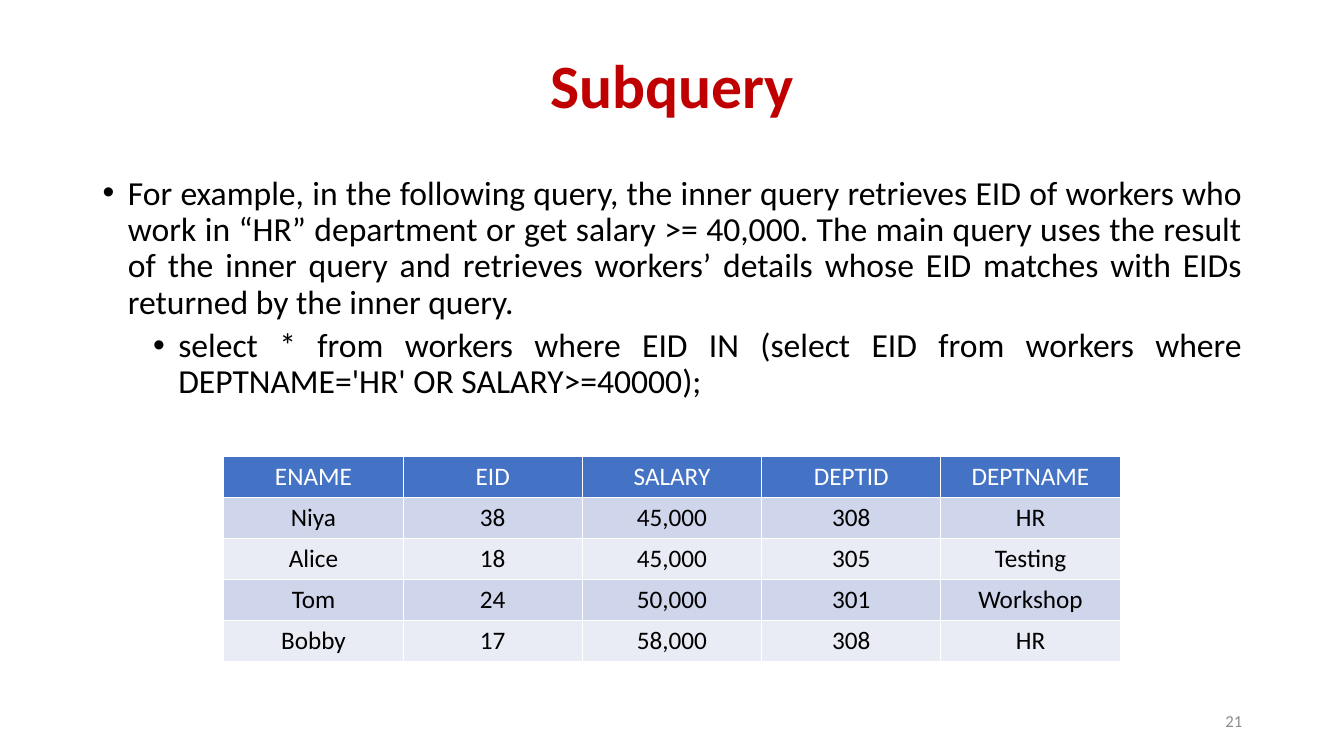
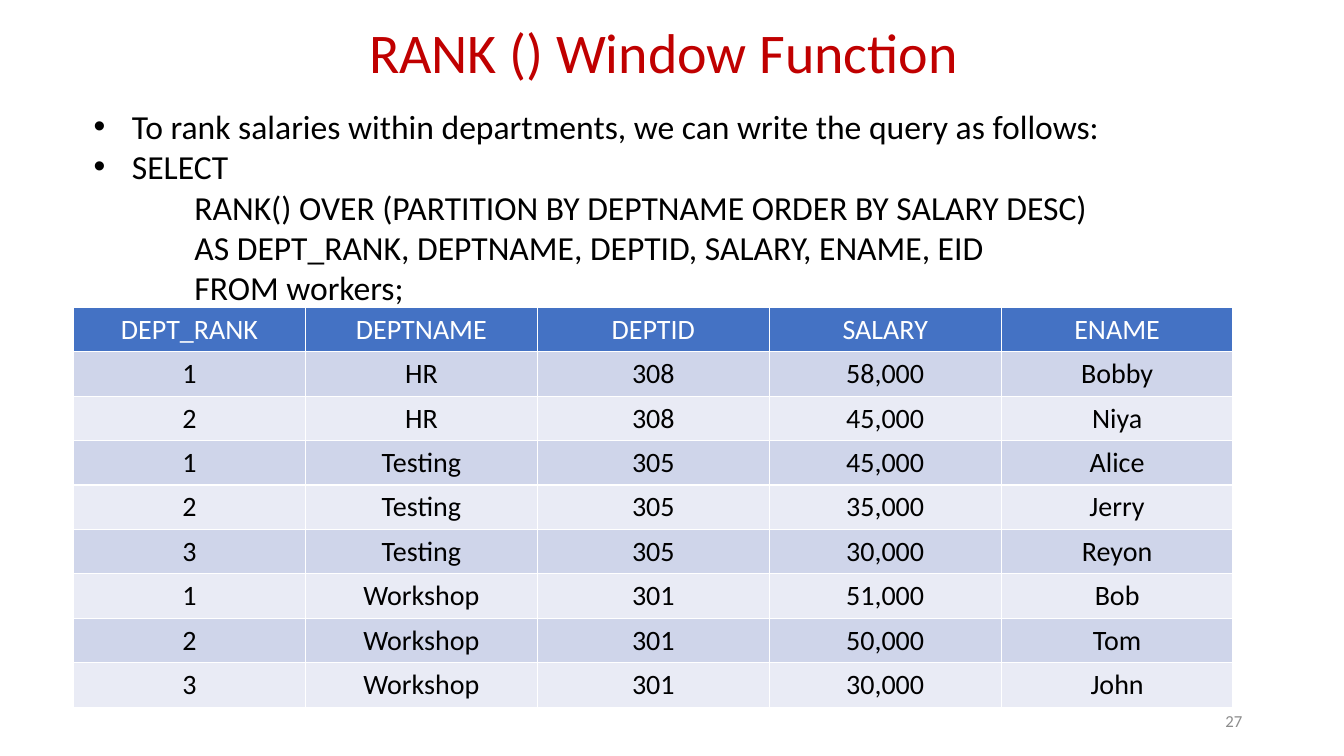
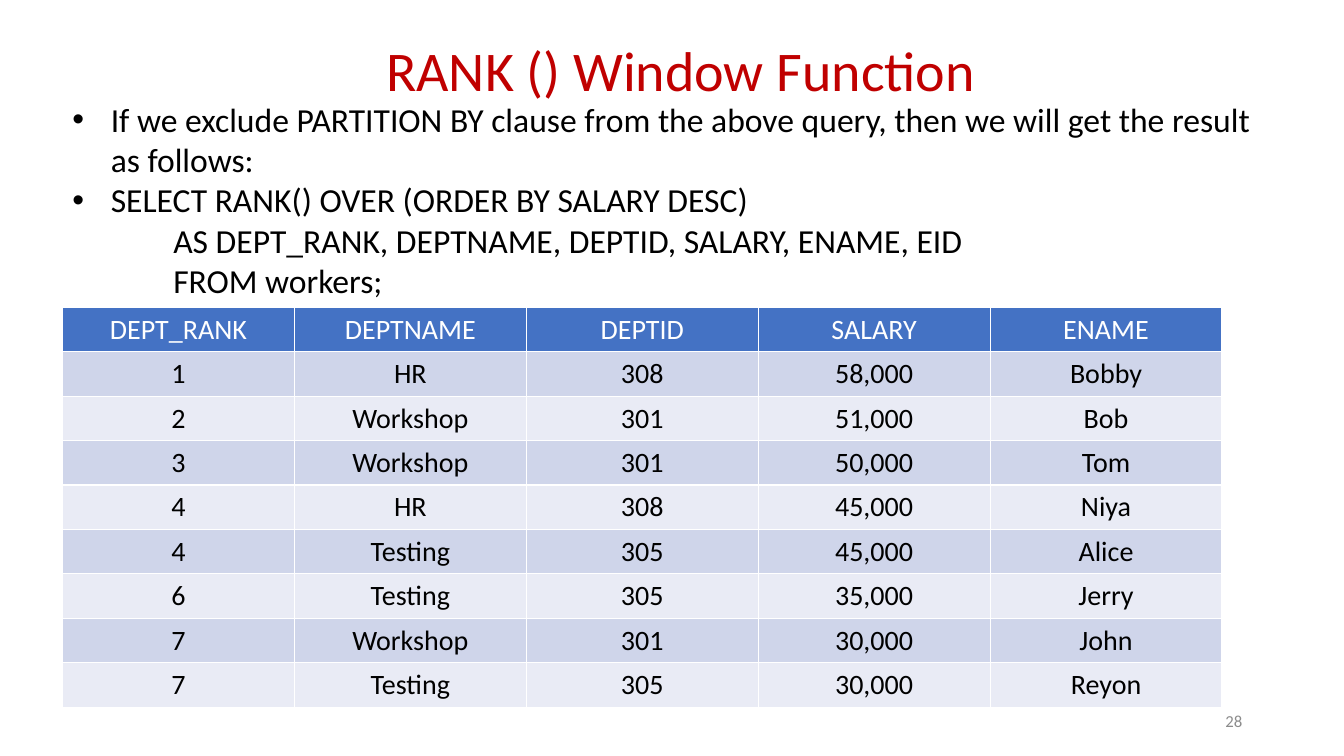
from lxml.etree import SubElement
from pptx import Presentation
from pptx.dml.color import RGBColor
from pptx.enum.text import MSO_ANCHOR, MSO_AUTO_SIZE, PP_ALIGN
from pptx.oxml.ns import qn
from pptx.util import Inches, Pt

COLORS = {
    "title": "C00000",
    "text": "000000",
    "number": "8C8C8C",
    "header": "4472C4",
    "header_text": "FFFFFF",
    "odd_row": "CFD5EA",
    "even_row": "E9EBF5",
    "grid": "FFFFFF",
}
BULLET = {"indent": 0.38, "hanging": 0.38}
CODE = {"indent": 1}
TABLE_WIDTH = 11.5
RANK_HEADER = ["DEPT_RANK", "DEPTNAME", "DEPTID", "SALARY", "ENAME"]


class Deck:
    font_name = "Calibri"

    def __init__(self):
        self.presentation = Presentation()
        self.presentation.slide_width = Inches(13.33)
        self.presentation.slide_height = Inches(7.5)
        self.slide = None

    def style(self, paragraph, color, size, alignment, bold=False):
        paragraph.alignment = alignment
        font = paragraph.font
        for name, value in {"name": self.font_name, "size": Pt(size), "bold": bold}.items():
            setattr(font, name, value)
        font.color.rgb = RGBColor.from_string(COLORS[color])

    def start(self, title, left, top, size=40, bold=False):
        layout = self.presentation.slide_layouts[5]
        self.slide = self.presentation.slides.add_slide(layout)
        heading = self.slide.shapes.title
        place = {"left": left, "top": top, "width": 11.5, "height": 1.45}
        for name, value in place.items():
            setattr(heading, name, Inches(value))
        frame = heading.text_frame
        frame.text = title
        frame.vertical_anchor = MSO_ANCHOR.MIDDLE
        paragraph = frame.paragraphs[0]
        paragraph.line_spacing = 0.9
        self.style(paragraph, "title", size, PP_ALIGN.CENTER, bold)

    def text_box(self, left, top, width, height, **settings):
        place = map(Inches, (left, top, width, height))
        frame = self.slide.shapes.add_textbox(*place).text_frame
        frame.word_wrap = True
        for name, value in settings.items():
            setattr(frame, name, value)
        return frame

    def page_number(self, number):
        frame = self.text_box(9.42, 6.95, 3, 0.4, vertical_anchor=MSO_ANCHOR.MIDDLE)
        frame.text = str(number)
        self.style(frame.paragraphs[0], "number", 12, PP_ALIGN.RIGHT)

    def body(self, lines, left, top, width, height, spacing=1.0, **settings):
        frame = self.text_box(left, top, width, height, **settings)
        for index, (text, layout) in enumerate(lines):
            paragraph = frame.paragraphs[0] if index == 0 else frame.add_paragraph()
            paragraph.text = text
            paragraph.line_spacing = spacing
            if index:
                paragraph.space_before = Pt(layout.get("before", 0))
            self.indent(paragraph, **layout)
            self.style(paragraph, "text", 24, PP_ALIGN.JUSTIFY)

    def indent(self, paragraph, indent, hanging=0, level=0, before=0):
        paragraph.level = level
        properties = paragraph._p.get_or_add_pPr()
        properties.set("marL", str(Inches(indent)))
        properties.set("indent", str(-Inches(hanging)))
        if hanging:
            SubElement(properties, qn("a:buFont"), typeface="Arial")
            SubElement(properties, qn("a:buChar"), char="•")

    def table(self, rows, left, top, width, height, size):
        place = map(Inches, (left, top, width, height))
        grid = self.slide.shapes.add_table(len(rows), len(rows[0]), *place).table
        for row_index, row in enumerate(rows):
            if row_index == 0:
                fill, color = "header", "header_text"
            else:
                fill, color = ("odd_row" if row_index % 2 else "even_row"), "text"
            for column_index, text in enumerate(row):
                cell = grid.cell(row_index, column_index)
                cell.text = text
                self.borders(cell)
                cell.fill.solid()
                cell.fill.fore_color.rgb = RGBColor.from_string(COLORS[fill])
                self.style(cell.text_frame.paragraphs[0], color, size, PP_ALIGN.CENTER)

    def borders(self, cell):
        properties = cell._tc.get_or_add_tcPr()
        for side in ("lnL", "lnR", "lnT", "lnB"):
            line = SubElement(properties, qn(f"a:{side}"), w=str(Pt(1)))
            fill = SubElement(line, qn("a:solidFill"))
            SubElement(fill, qn("a:srgbClr"), val=COLORS["grid"])

    def rank_slide(self, title_place, table_left, body_place, lines, records, number):
        self.start("RANK () Window Function", *title_place)
        self.table([RANK_HEADER, *records], table_left, 3.05, TABLE_WIDTH, 3.9, 20)
        self.page_number(number)
        self.body(lines, *body_place, 11.88, 2.12, auto_size=MSO_AUTO_SIZE.SHAPE_TO_FIT_TEXT)


def main():
    deck = Deck()

    deck.start("Subquery", 0.92, 0.15, size=44, bold=True)
    deck.body(
        [
            (
                "For example, in the following query, the inner query retrieves EID of workers "
                "who work in “HR” department or get salary >= 40,000. The main query uses the "
                "result of the inner query and retrieves workers’ details whose EID matches "
                "with EIDs returned by the inner query.",
                {"indent": 0.25, "hanging": 0.25},
            ),
            (
                "select * from workers where EID IN (select EID from workers where "
                "DEPTNAME='HR' OR SALARY>=40000);",
                {"indent": 0.75, "hanging": 0.25, "level": 1, "before": 5},
            ),
        ],
        0.92, 1.7, 11.5, 4.76, spacing=0.9,
    )
    deck.page_number(21)
    workers = [
        ["ENAME", "EID", "SALARY", "DEPTID", "DEPTNAME"],
        ["Niya", "38", "45,000", "308", "HR"],
        ["Alice", "18", "45,000", "305", "Testing"],
        ["Tom", "24", "50,000", "301", "Workshop"],
        ["Bobby", "17", "58,000", "308", "HR"],
    ]
    deck.table(workers, 2.22, 4.53, 8.89, 2.03, 18)

    deck.rank_slide(
        (0.83, -0.18), 0.73, (0.83, 1),
        [
            ("To rank salaries within departments, we can write the query as follows:", BULLET),
            ("SELECT", BULLET),
            ("RANK() OVER (PARTITION BY DEPTNAME ORDER BY SALARY DESC)", CODE),
            ("AS DEPT_RANK, DEPTNAME, DEPTID, SALARY, ENAME, EID", CODE),
            ("FROM workers;", CODE),
        ],
        [
            ["1", "HR", "308", "58,000", "Bobby"],
            ["2", "HR", "308", "45,000", "Niya"],
            ["1", "Testing", "305", "45,000", "Alice"],
            ["2", "Testing", "305", "35,000", "Jerry"],
            ["3", "Testing", "305", "30,000", "Reyon"],
            ["1", "Workshop", "301", "51,000", "Bob"],
            ["2", "Workshop", "301", "50,000", "Tom"],
            ["3", "Workshop", "301", "30,000", "John"],
        ],
        27,
    )

    deck.rank_slide(
        (1, 0), 0.62, (0.62, 0.93),
        [
            (
                "If we exclude PARTITION BY clause from the above query, then we will get "
                "the result as follows:",
                BULLET,
            ),
            ("SELECT RANK() OVER (ORDER BY SALARY DESC)", BULLET),
            ("AS DEPT_RANK, DEPTNAME, DEPTID, SALARY, ENAME, EID", CODE),
            ("FROM workers;", CODE),
        ],
        [
            ["1", "HR", "308", "58,000", "Bobby"],
            ["2", "Workshop", "301", "51,000", "Bob"],
            ["3", "Workshop", "301", "50,000", "Tom"],
            ["4", "HR", "308", "45,000", "Niya"],
            ["4", "Testing", "305", "45,000", "Alice"],
            ["6", "Testing", "305", "35,000", "Jerry"],
            ["7", "Workshop", "301", "30,000", "John"],
            ["7", "Testing", "305", "30,000", "Reyon"],
        ],
        28,
    )

    deck.presentation.save("out.pptx")


if __name__ == "__main__":
    main()
